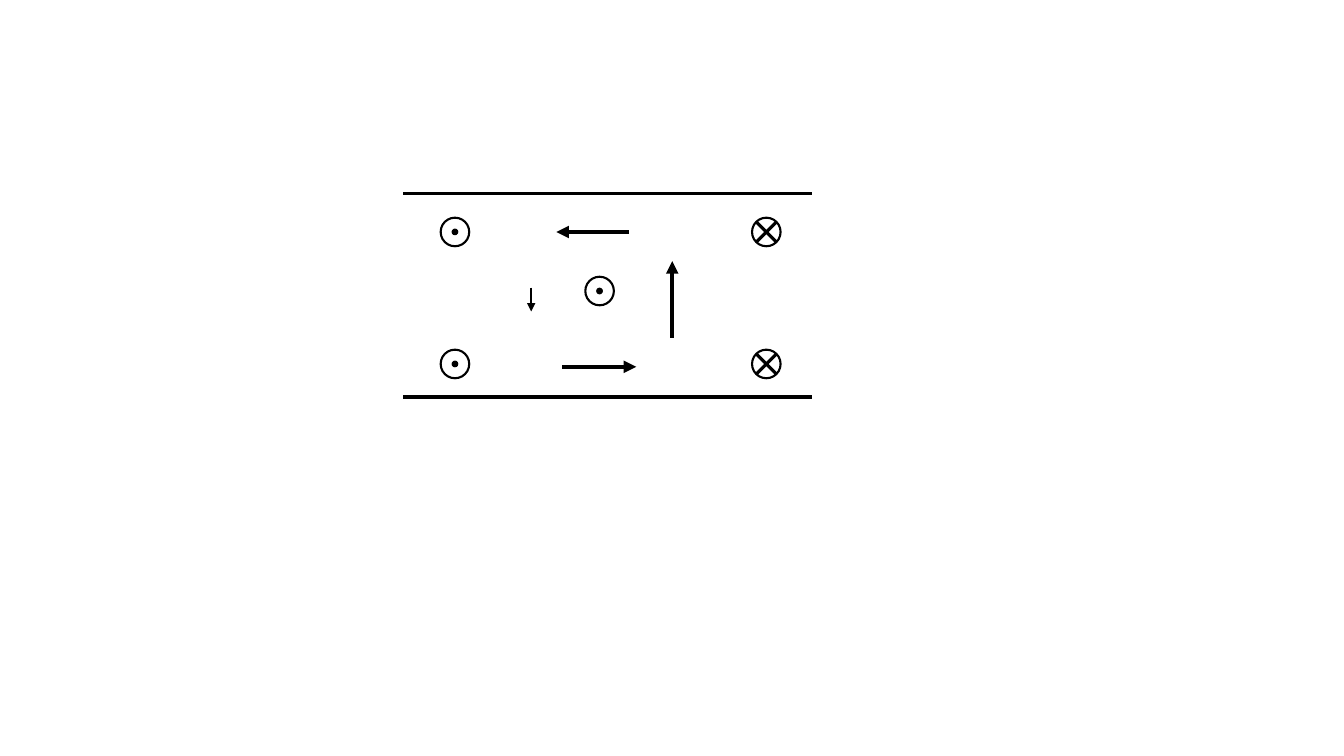
from dataclasses import dataclass

from lxml.etree import SubElement
from pptx import Presentation
from pptx.dml.color import RGBColor
from pptx.enum.shapes import MSO_CONNECTOR as CONN, MSO_SHAPE as SHAPE
from pptx.oxml.ns import qn
from pptx.shapes.autoshape import Shape
from pptx.shapes.shapetree import GroupShapes, SlideShapes
from pptx.util import Pt

BLACK = RGBColor(0, 0, 0)
WHITE = RGBColor(255, 255, 255)

RING = 20.4  # diameter of a field symbol
DOT = 3.8  # diameter of the dot for "out of the page"
CROSS = 7.2  # half extent of the cross for "into the page"

WALL_LEFT, WALL_RIGHT = 288, 580.2
WALL_ROWS = (138.2, 283.6)
OUT_X, IN_X = 325, 547.4
SYMBOL_ROWS = (165.7, 260)


@dataclass(frozen=True)
class Symbol:
    """A field direction symbol, placed by its centre."""
    x: float
    y: float
    outward: bool


@dataclass(frozen=True)
class Segment:
    """A straight line, with an optional arrowhead at its end."""
    x1: float
    y1: float
    x2: float
    y2: float
    width: float = 2.25
    arrow: bool = False


SYMBOLS = [Symbol(x, y, x == OUT_X) for y in SYMBOL_ROWS for x in (OUT_X, IN_X)]
SYMBOLS.append(Symbol(428.3, 207.9, True))

WALLS = [Segment(WALL_LEFT, y, WALL_RIGHT, y) for y in WALL_ROWS]

ARROWS = [
    Segment(379.4, 205.5, 379.4, 222.5, 1, True),
    Segment(449.3, 165.7, 397.4, 165.7, 3, True),
    Segment(480.2, 241.2, 480.2, 186.5, 3, True),
    Segment(401.8, 262, 454.5, 262, 3, True),
]


def draw_segment(shapes: SlideShapes | GroupShapes, seg: Segment) -> None:
    """Draw one black line or arrow without a shadow."""
    s = shapes.add_connector(CONN.STRAIGHT, Pt(seg.x1), Pt(seg.y1), Pt(seg.x2), Pt(seg.y2))
    s.line.color.rgb = BLACK
    s.line.width = Pt(seg.width)
    if seg.arrow:
        SubElement(s.line._get_or_add_ln(), qn("a:tailEnd"), type="triangle")
    SubElement(s._element.spPr, qn("a:effectLst"))


def draw_circle(shapes: GroupShapes, x: float, y: float, size: float,
                fill: RGBColor, width: float) -> Shape:
    """Draw a black-edged circle around a centre."""
    s = shapes.add_shape(SHAPE.OVAL, Pt(x - size / 2), Pt(y - size / 2), Pt(size), Pt(size))
    s.shadow.inherit = False
    s.fill.solid()
    s.fill.fore_color.rgb = fill
    s.line.color.rgb = BLACK
    s.line.width = Pt(width)
    return s


def draw_symbol(shapes: SlideShapes, symbol: Symbol) -> None:
    """Draw a grouped ring holding a dot (outward) or a cross (inward)."""
    group = shapes.add_group_shape().shapes
    x, y = symbol.x, symbol.y
    draw_circle(group, x, y, RING, WHITE, 1.5)
    if symbol.outward:
        draw_circle(group, x, y, DOT, BLACK, 1)
    else:
        for side in (-CROSS, CROSS):
            draw_segment(group, Segment(x + side, y - CROSS, x - side, y + CROSS))


def main() -> None:
    """Build the field diagram and save it."""
    prs = Presentation()
    prs.slide_width, prs.slide_height = Pt(960), Pt(540)
    shapes = prs.slides.add_slide(prs.slide_layouts[6]).shapes
    for seg in WALLS + ARROWS:
        draw_segment(shapes, seg)
    for symbol in SYMBOLS:
        draw_symbol(shapes, symbol)
    prs.save("out.pptx")


main()
